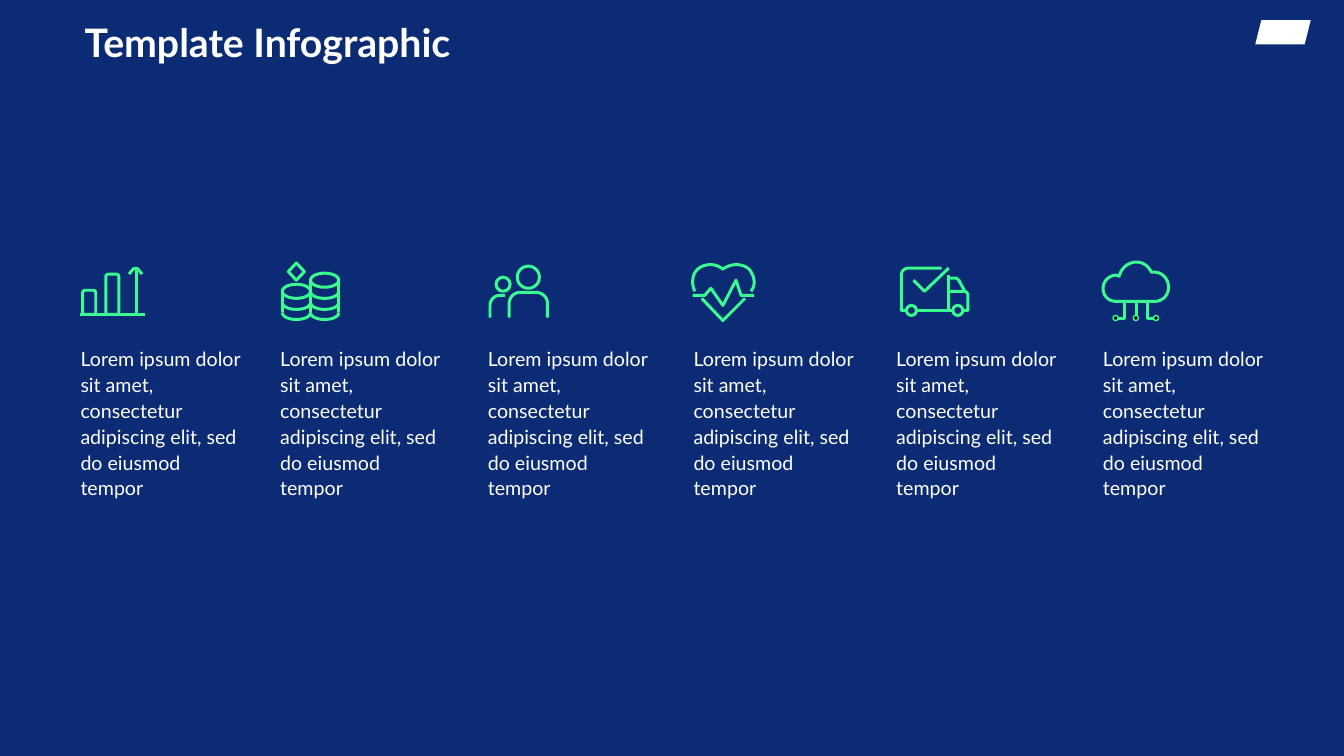
from pptx import Presentation
from pptx.dml.color import RGBColor
from pptx.enum.shapes import MSO_CONNECTOR, MSO_SHAPE
from pptx.enum.text import MSO_ANCHOR, MSO_AUTO_SIZE
from pptx.oxml import parse_xml
from pptx.util import Inches, Pt

OVAL = MSO_SHAPE.OVAL
DIAMOND = MSO_SHAPE.DIAMOND
PARALLELOGRAM = MSO_SHAPE.PARALLELOGRAM
STRAIGHT = MSO_CONNECTOR.STRAIGHT
MIDDLE = MSO_ANCHOR.MIDDLE
TOP = MSO_ANCHOR.TOP
GROW = MSO_AUTO_SIZE.SHAPE_TO_FIT_TEXT

NAVY = RGBColor(0x0C, 0x2B, 0x75)
WHITE = RGBColor(0xFF, 0xFF, 0xFF)
GREEN = RGBColor(0x3B, 0xFC, 0x91)
BLACK = RGBColor(0x00, 0x00, 0x00)

FONT = "Lato"
STROKE = 2.13
CURVE_STEPS = 12
NO_EFFECTS = '<a:effectLst xmlns:a="http://schemas.openxmlformats.org/drawingml/2006/main"/>'
CAPTION = "Lorem ipsum dolor sit amet, consectetur adipiscing elit, sed do eiusmod tempor"


def add_text(page, box, text, size, spacing, bold=False, anchor=TOP):
    frame_box = page.shapes.add_textbox(*[Inches(length) for length in box])
    frame = frame_box.text_frame
    frame.word_wrap = True
    frame.vertical_anchor = anchor
    frame.text = text
    para = frame.paragraphs[0]
    para.line_spacing = spacing
    font = para.runs[0].font
    font.name = FONT
    font.size = Pt(size)
    font.bold = bold
    font.color.rgb = WHITE
    return frame


def set_outline(shape, width=STROKE):
    shape.shadow.inherit = False
    shape.fill.background()
    shape.line.color.rgb = GREEN
    shape.line.width = Pt(width)


def curve_points(start, curve):
    x1, y1, x2, y2, x3, y3 = curve
    for step in range(1, CURVE_STEPS + 1):
        t = step / CURVE_STEPS
        weights = (1 - t) ** 3, 3 * t * (1 - t) ** 2, 3 * t * t * (1 - t), t ** 3
        yield tuple(
            sum(weight * value for weight, value in zip(weights, values))
            for values in ((start[0], x1, x2, x3), (start[1], y1, y2, y3))
        )


def trace(icon, box, start, *steps, close=False):
    points = [start]
    for step in steps:
        points.extend([step] if len(step) == 2 else curve_points(points[-1], step))
    left, top = box
    placed = [(Inches(left + x), Inches(top + y)) for x, y in points]
    builder = icon.shapes.build_freeform(*placed[0])
    builder.add_line_segments(placed[1:], close=close)
    set_outline(builder.convert_to_shape())


def add_preset(icon, box, kind, x, y, width, height, stroke=STROKE):
    left, top = box
    shape = icon.shapes.add_shape(
        kind, Inches(left + x), Inches(top + y), Inches(width), Inches(height))
    set_outline(shape, stroke)
    return shape


def add_line(icon, box, x1, y1, x2, y2):
    left, top = box
    line = icon.shapes.add_connector(
        STRAIGHT, Inches(left + x1), Inches(top + y1), Inches(left + x2), Inches(top + y2))
    line.line.color.rgb = GREEN
    line.line.width = Pt(STROKE)
    line._element.spPr.append(parse_xml(NO_EFFECTS))


def draw_chart(icon, box):
    for x, top in ((0.12, 0.28), (0.35, 0.12)):
        trace(icon, box, (x, 0.52), (x, top + 0.03),
              (x, top + 0.01, x + 0.01, top, x + 0.03, top), (x + 0.1, top),
              (x + 0.12, top, x + 0.13, top + 0.01, x + 0.13, top + 0.03),
              (x + 0.13, 0.52), close=True)
    add_line(icon, box, 0.65, 0.06, 0.65, 0.52)
    trace(icon, box, (0.58, 0.12), (0.62, 0.07),
          (0.63, 0.06, 0.66, 0.06, 0.67, 0.07), (0.71, 0.12))
    add_line(icon, box, 0.09, 0.52, 0.74, 0.52)


def draw_coins(icon, box):
    for x, top, rims in ((0.12, 0.29, (0.4, 0.5)), (0.4, 0.18, (0.29, 0.4, 0.5))):
        add_preset(icon, box, OVAL, x, top - 0.07, 0.28, 0.14)
        for side in (x, x + 0.28):
            add_line(icon, box, side, top, side, 0.5)
        for rim in rims:
            low = rim + 0.07
            trace(icon, box, (x, rim), (x, rim + 0.04, x + 0.06, low, x + 0.14, low),
                  (x + 0.22, low, x + 0.28, rim + 0.04, x + 0.28, rim))
    add_preset(icon, box, DIAMOND, 0.18, 0.01, 0.16, 0.17)


def draw_people(icon, box):
    add_preset(icon, box, OVAL, 0.18, 0.15, 0.14, 0.14)
    trace(icon, box, (0.27, 0.33), (0.22, 0.33),
          (0.17, 0.33, 0.12, 0.37, 0.12, 0.43), (0.12, 0.55))
    add_preset(icon, box, OVAL, 0.39, 0.04, 0.22, 0.22)
    trace(icon, box, (0.69, 0.55), (0.69, 0.41), (0.69, 0.35, 0.64, 0.3, 0.57, 0.3),
          (0.42, 0.3), (0.36, 0.3, 0.31, 0.35, 0.31, 0.41), (0.31, 0.55))


def draw_heart(icon, box):
    trace(icon, box, (0.11, 0.29), (0.1, 0.26, 0.09, 0.23, 0.09, 0.2),
          (0.09, 0.15, 0.1, 0.11, 0.14, 0.07), (0.21, 0.01, 0.32, 0.01, 0.39, 0.07),
          (0.47, 0.01, 0.58, 0.01, 0.65, 0.07), (0.68, 0.11, 0.7, 0.15, 0.7, 0.2),
          (0.7, 0.23, 0.69, 0.26, 0.67, 0.29))
    trace(icon, box, (0.18, 0.36), (0.39, 0.58), (0.61, 0.36))
    trace(icon, box, (0.09, 0.33), (0.21, 0.33), (0.27, 0.26), (0.39, 0.43),
          (0.52, 0.18), (0.57, 0.33), (0.7, 0.33))


def draw_truck(icon, box):
    trace(icon, box, (0.2, 0.48), (0.15, 0.48), (0.15, 0.13),
          (0.15, 0.09, 0.18, 0.06, 0.22, 0.06), (0.55, 0.06))
    trace(icon, box, (0.3, 0.48), (0.62, 0.48), (0.62, 0.13))
    trace(icon, box, (0.76, 0.48), (0.81, 0.48), (0.81, 0.33),
          (0.81, 0.31, 0.8, 0.3, 0.78, 0.29), (0.62, 0.29), (0.62, 0.48), (0.66, 0.48))
    trace(icon, box, (0.62, 0.16), (0.69, 0.16),
          (0.7, 0.16, 0.71, 0.17, 0.72, 0.18), (0.78, 0.29))
    for x in (0.2, 0.66):
        add_preset(icon, box, OVAL, x, 0.43, 0.1, 0.1)
    trace(icon, box, (0.27, 0.18), (0.38, 0.29), (0.62, 0.06))


def draw_cloud(icon, box):
    trace(icon, box, (0.75, 0.25), (0.75, 0.33, 0.69, 0.39, 0.61, 0.39), (0.23, 0.39),
          (0.16, 0.39, 0.1, 0.34, 0.1, 0.26), (0.1, 0.19, 0.16, 0.13, 0.23, 0.13),
          (0.26, 0.14), (0.28, 0.06, 0.35, 0, 0.43, 0), (0.5, 0, 0.55, 0.04, 0.58, 0.1),
          (0.59, 0.1, 0.6, 0.1, 0.61, 0.1), (0.69, 0.1, 0.75, 0.17, 0.75, 0.25), close=True)
    for inner, outer in ((0.31, 0.24), (0.54, 0.61)):
        trace(icon, box, (inner, 0.39), (inner, 0.56), (outer, 0.56))
    add_line(icon, box, 0.43, 0.39, 0.43, 0.54)
    for x in (0.2, 0.4, 0.6):
        node = add_preset(icon, box, OVAL, x, 0.53, 0.05, 0.05, stroke=1)
        node.fill.solid()
        node.fill.fore_color.rgb = BLACK


def add_badge(page, box):
    badge = page.shapes.add_shape(PARALLELOGRAM, *[Inches(length) for length in box])
    badge.shadow.inherit = False
    badge.fill.solid()
    badge.fill.fore_color.rgb = WHITE
    badge.line.fill.background()


def add_column(page, box, draw_icon):
    left, top = box
    caption = add_text(page, (left, top + 0.77, 1.81, 1.64), CAPTION, 14, 1.1)
    caption.auto_size = GROW
    draw_icon(page.shapes.add_group_shape(), box)


def add_infographic(deck):
    page = deck.slides.add_slide(deck.slide_layouts[6])
    page.background.fill.solid()
    page.background.fill.fore_color.rgb = NAVY
    add_badge(page, (12.45, 0.2, 0.55, 0.24))
    add_text(page, (0.74, 0.16, 8.96, 0.56), "Template Infographic", 28, 0.9,
             bold=True, anchor=MIDDLE)
    columns = ((0.7, draw_chart), (2.68, draw_coins), (4.74, draw_people),
               (6.78, draw_heart), (8.79, draw_truck), (10.84, draw_cloud))
    for left, draw_icon in columns:
        add_column(page, (left, 2.6), draw_icon)


def main():
    deck = Presentation()
    deck.slide_width = Inches(13.33)
    deck.slide_height = Inches(7.5)
    add_infographic(deck)
    deck.save("out.pptx")


if __name__ == "__main__":
    main()
